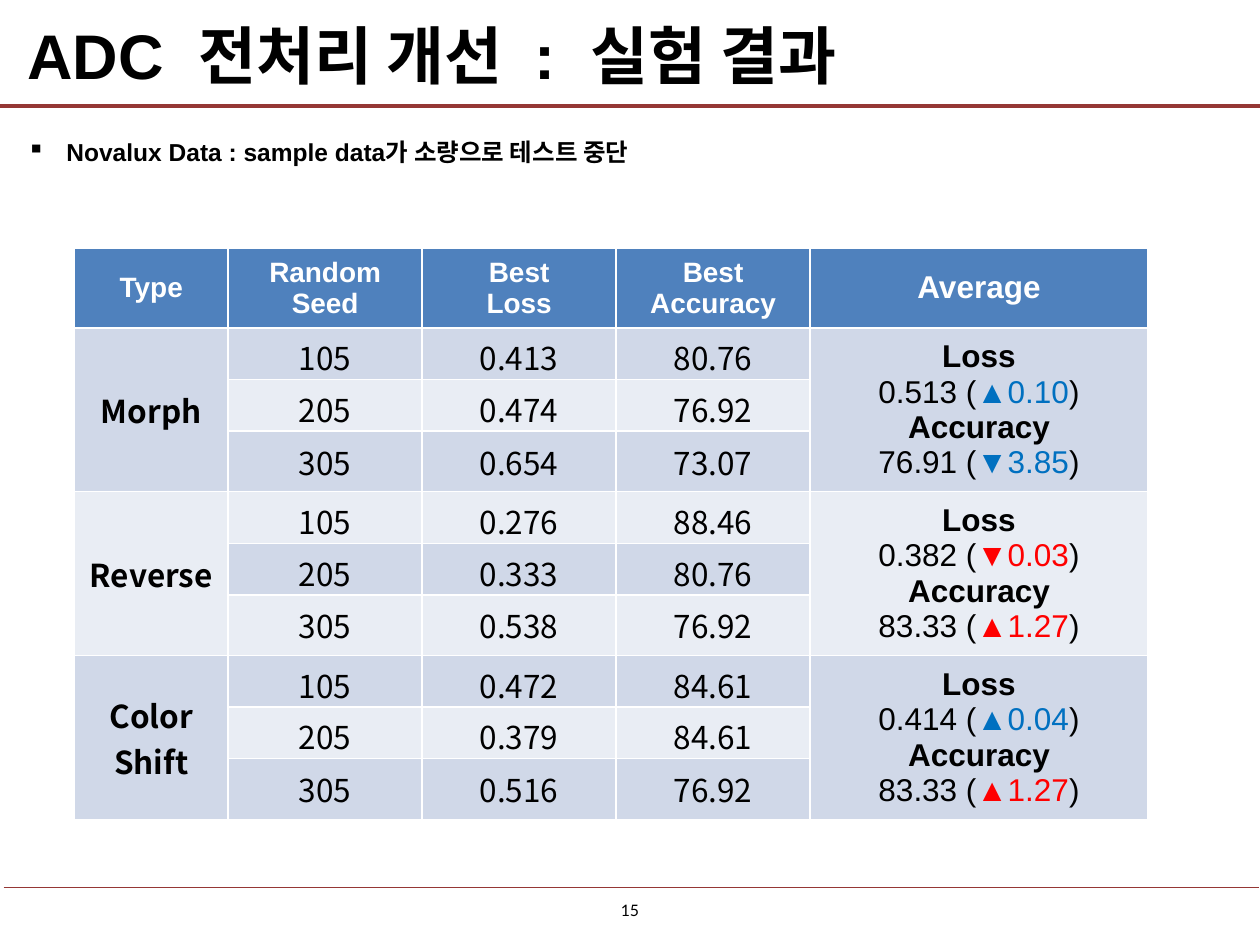
from lxml.etree import SubElement
from pptx import Presentation
from pptx.dml.color import RGBColor
from pptx.enum.shapes import MSO_CONNECTOR
from pptx.enum.text import MSO_ANCHOR, PP_ALIGN
from pptx.oxml.ns import qn
from pptx.util import Cm, Pt

COLOURS = {
    "ink": "000000",
    "rule": "953735",
    "header": "4F81BD",
    "header_text": "FFFFFF",
    "band_dark": "D0D8E8",
    "band_light": "E9EDF4",
    "blue": "0070C0",
    "red": "FF0000",
}
LATIN, KOREAN, NUMBER = "Arial", "Noto Sans CJK KR", "Lato"

TITLE_PARTS = ["ADC", "전처리 개선", ":", "실험 결과"]
NOTE = "Novalux Data : sample data가 소량으로 테스트 중단"
HEADERS = [["Type"], ["Random", "Seed"], ["Best\vLoss"], ["Best\vAccuracy"], ["Average"]]
SEEDS = ["105", "205", "305"]
# type, (loss, accuracy) for each seed, then average and signed change of each
RESULTS = [
    ("Morph", [("0.413", "80.76"), ("0.474", "76.92"), ("0.654", "73.07")],
     ("0.513", "▲0.10", "blue"), ("76.91", "▼3.85", "blue")),
    ("Reverse", [("0.276", "88.46"), ("0.333", "80.76"), ("0.538", "76.92")],
     ("0.382", "▼0.03", "red"), ("83.33", "▲1.27", "red")),
    ("Color Shift", [("0.472", "84.61"), ("0.379", "84.61"), ("0.516", "76.92")],
     ("0.414", "▲0.04", "blue"), ("83.33", "▲1.27", "red")),
]
COLUMN_WIDTHS = [3.1, 3.91, 3.91, 3.91, 6.81]
ROW_HEIGHT = 1.04


def rgb(name):
    return RGBColor.from_string(COLOURS[name])


class ResultPage:
    def __init__(self, page):
        self.page = page

    def style(self, paragraph, size, name=LATIN, bold=False, colour="ink",
              align=PP_ALIGN.CENTER):
        paragraph.alignment = align
        font = paragraph.font
        font.size, font.name, font.bold = Pt(size), name, bold
        font.color.rgb = rgb(colour)

    def korean(self, font):
        """Set the East Asian typeface, which python-pptx leaves unset."""
        SubElement(font._element, qn("a:ea"), typeface=KOREAN)

    def line(self, left, right, y, colour, width):
        rule = self.page.shapes.add_connector(
            MSO_CONNECTOR.STRAIGHT, Cm(left), Cm(y), Cm(right), Cm(y))
        rule.line.color.rgb = rgb(colour)
        rule.line.width = Pt(width)
        SubElement(rule._element.spPr, qn("a:effectLst"))

    def text_box(self, left, top, width, height, anchor=MSO_ANCHOR.TOP):
        """Add a wrapping box and return its first paragraph."""
        box = self.page.shapes.add_textbox(Cm(left), Cm(top), Cm(width), Cm(height))
        box.text_frame.word_wrap = True
        box.text_frame.vertical_anchor = anchor
        return box.text_frame.paragraphs[0]

    def title(self, parts):
        """Write the parts with a double-width space between them."""
        paragraph = self.text_box(0.3, 0.25, 24.8, 1.68, MSO_ANCHOR.MIDDLE)
        self.style(paragraph, 36, bold=True, align=PP_ALIGN.LEFT)
        for index, part in enumerate(parts):
            if index:
                gap = paragraph.add_run()
                gap.text = " "
                gap.font._element.set("spc", "1000")
            span = paragraph.add_run()
            span.text = part
            self.korean(span.font)

    def bullet(self, text):
        paragraph = self.text_box(0.3, 2.51, 24.82, 2.21)
        paragraph.text = text
        self.style(paragraph, 14, bold=True, align=PP_ALIGN.JUSTIFY)
        self.korean(paragraph.runs[0].font)
        paragraph.line_spacing = 1.2
        paragraph.space_before = Pt(2.8)
        properties = paragraph._p.get_or_add_pPr()
        properties.set("marL", str(Cm(0.79)))
        properties.set("indent", str(-Cm(0.79)))
        mark = SubElement(properties, qn("a:buChar"), char="▪")
        properties.find(qn("a:defRPr")).addprevious(mark)

    def page_number(self, number):
        paragraph = self.text_box(11.81, 18.03, 1.78, 0.64)
        paragraph.text = number
        self.style(paragraph, 9, NUMBER)

    def cell(self, cell, lines, size=18, **style):
        cell.vertical_anchor = MSO_ANCHOR.MIDDLE
        frame = cell.text_frame
        for index, text in enumerate(lines):
            paragraph = frame.add_paragraph() if index else frame.paragraphs[0]
            paragraph.text = text
            self.style(paragraph, size, **style)

    def average(self, cell, loss, accuracy):
        """Fill a cell with both averages, their changes in colour."""
        self.cell(cell, ["Loss", "", "Accuracy", ""])
        paragraphs = cell.text_frame.paragraphs
        for heading, detail, (value, change, colour) in zip(
                paragraphs[::2], paragraphs[1::2], (loss, accuracy)):
            heading.font.bold = True
            for text, shade in ((f"{value} (", "ink"), (change, colour), (")", "ink")):
                span = detail.add_run()
                span.text = text
                span.font.color.rgb = rgb(shade)

    def result_table(self):
        count = len(SEEDS)
        rows = 1 + count * len(RESULTS)
        shape = self.page.shapes.add_table(
            rows, len(COLUMN_WIDTHS), Cm(1.5), Cm(5), Cm(sum(COLUMN_WIDTHS)), Cm(11.51))
        table = shape.table
        for column, width in zip(table.columns, COLUMN_WIDTHS):
            column.width = Cm(width)
        for index, row in enumerate(table.rows):
            row.height = Cm(ROW_HEIGHT)
            band = "band_dark" if index % 2 else "band_light"
            for cell in row.cells:
                cell.fill.solid()
                cell.fill.fore_color.rgb = rgb(band if index else "header")
        shape.height = Cm(11.51)

        for column, lines in enumerate(HEADERS):
            size = 18 if lines == ["Average"] else 16
            self.cell(table.cell(0, column), lines, size, bold=True, colour="header_text")
        for group, (kind, scores, loss, accuracy) in enumerate(RESULTS):
            first = 1 + group * count
            for column in (0, len(COLUMN_WIDTHS) - 1):
                table.cell(first, column).merge(table.cell(first + count - 1, column))
            self.cell(table.cell(first, 0), [kind], name=KOREAN, bold=True)
            self.average(table.cell(first, len(COLUMN_WIDTHS) - 1), loss, accuracy)
            for offset, (seed, score) in enumerate(zip(SEEDS, scores)):
                for column, value in enumerate((seed, *score), 1):
                    self.cell(table.cell(first + offset, column), [value], name=KOREAN)


def main():
    deck = Presentation()
    deck.slide_width, deck.slide_height = Cm(25.4), Cm(19.05)
    result = ResultPage(deck.slides.add_slide(deck.slide_layouts[6]))
    result.line(0.08, 25.37, 17.88, "ink", 0.5)
    result.line(-0.03, 25.4, 2.13, "rule", 2.25)
    result.line(0.08, 25.37, 17.88, "rule", 0.5)
    result.page_number("15")
    result.title(TITLE_PARTS)
    result.bullet(NOTE)
    result.result_table()
    deck.save("out.pptx")


if __name__ == "__main__":
    main()
